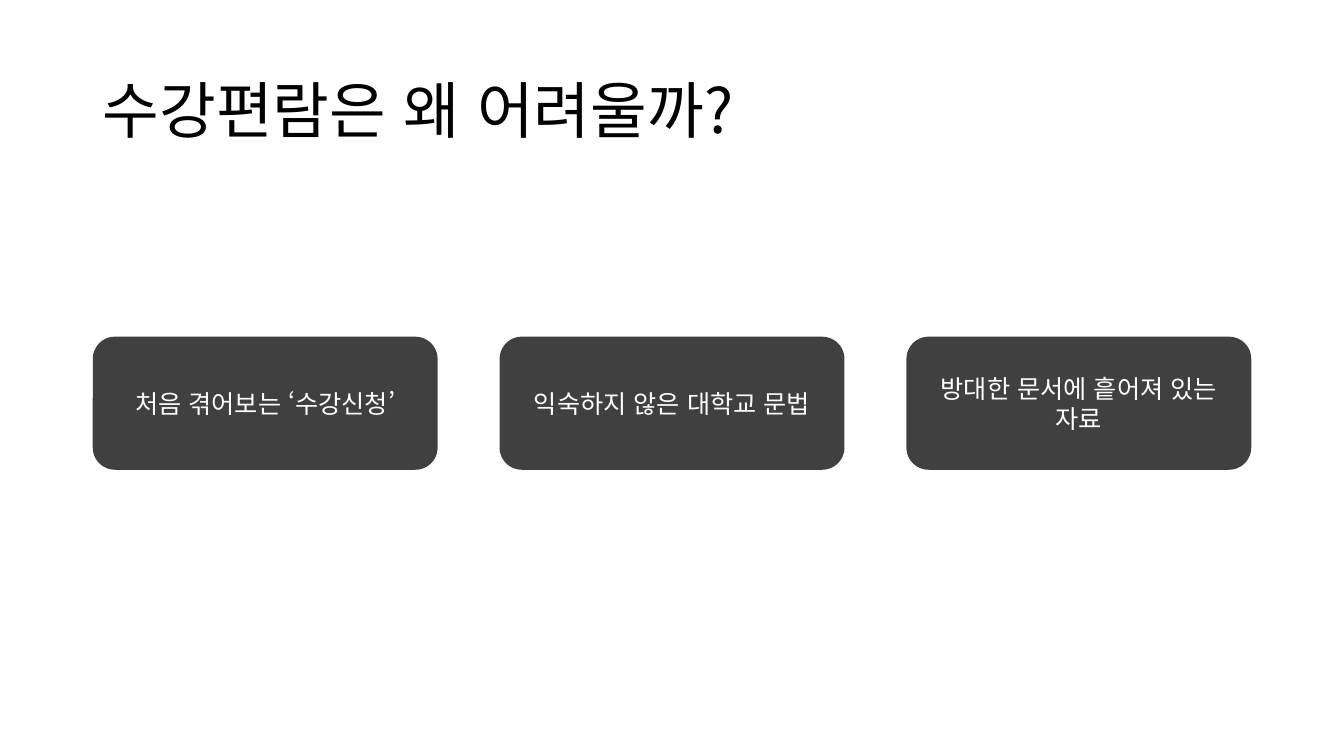
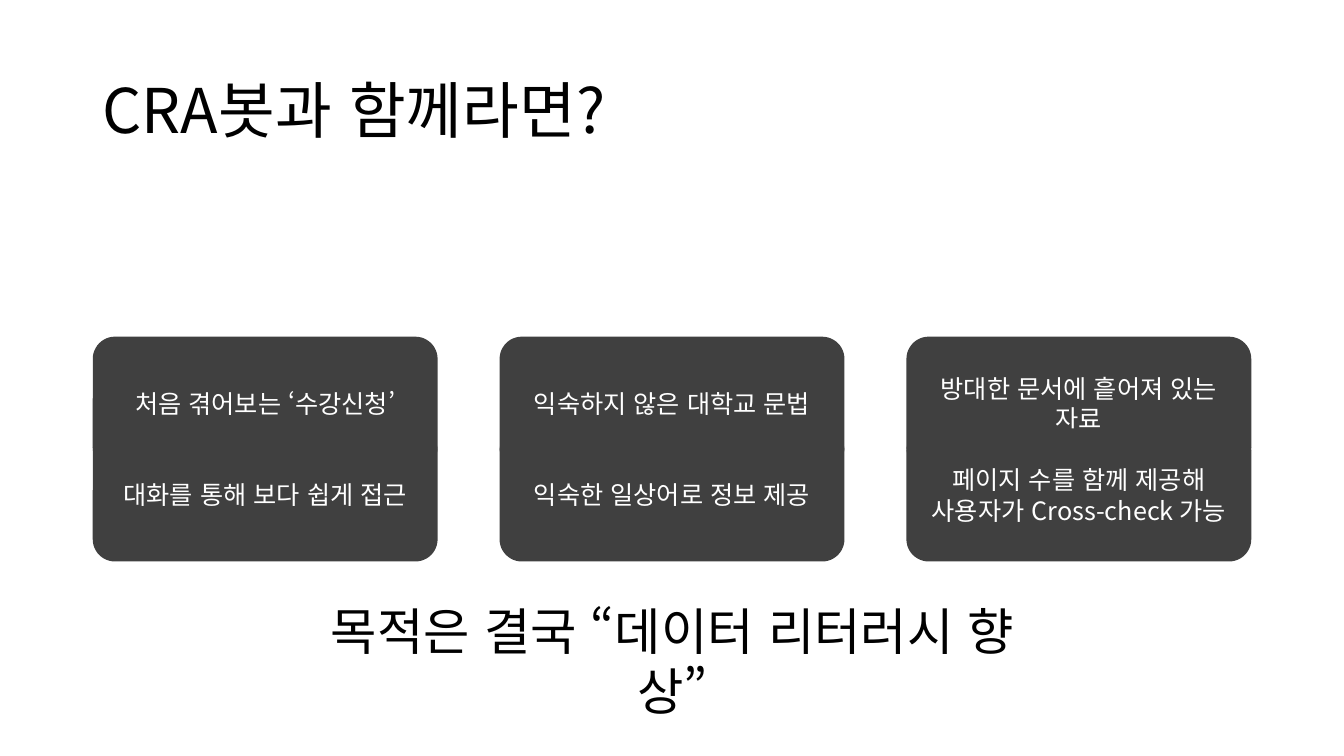
"""Build two slides on why course handbooks are hard and how a bot helps."""
import lxml.etree
import pptx
import pptx.dml.color
import pptx.enum.lang
import pptx.enum.shapes
import pptx.enum.text
import pptx.oxml.ns
import pptx.util

Inches = pptx.util.Inches
Pt = pptx.util.Pt
PP_ALIGN = pptx.enum.text.PP_ALIGN
MSO_ANCHOR = pptx.enum.text.MSO_ANCHOR

BLACK = pptx.dml.color.RGBColor(0x00, 0x00, 0x00)
WHITE = pptx.dml.color.RGBColor(0xFF, 0xFF, 0xFF)
DARK = pptx.dml.color.RGBColor(0x40, 0x40, 0x40)
FONT = "Noto Sans CJK KR"

MARGIN = 0.92
CARD_W, CARD_H = 3.42, 1.32
CARD_STEP = 4.035
PROBLEM_TOP, ANSWER_TOP = 3.34, 4.25

PROBLEMS = ["처음 겪어보는 ‘수강신청’", "익숙하지 않은 대학교 문법", "방대한 문서에 흩어져 있는 자료"]
ANSWERS = [
    "대화를 통해 보다 쉽게 접근",
    "익숙한 일상어로 정보 제공",
    "페이지 수를 함께 제공해 사용자가 Cross-check 가능",
]


def write(tf, text, size, color, align=PP_ALIGN.LEFT):
    tf.word_wrap = True
    p = tf.paragraphs[0]
    p.alignment = align
    r = p.add_run()
    r.text = text
    r.font.size = Pt(size)
    r.font.color.rgb = color
    r.font.name = FONT
    r.font.language_id = pptx.enum.lang.MSO_LANGUAGE_ID.KOREAN
    ea = lxml.etree.SubElement(r._r.get_or_add_rPr(), pptx.oxml.ns.qn("a:ea"))
    ea.set("typeface", FONT)
    return p


def add_title_slide(prs, title):
    s = prs.slides.add_slide(prs.slide_layouts[6])
    sp = s.shapes.add_textbox(Inches(MARGIN), Inches(0.4), Inches(11.5), Inches(1.45))
    sp.text_frame.vertical_anchor = MSO_ANCHOR.MIDDLE
    write(sp.text_frame, title, 44, BLACK).line_spacing = 0.9
    return s


def add_card_row(shapes, texts, top):
    for i, text in enumerate(texts):
        sp = shapes.add_shape(
            pptx.enum.shapes.MSO_SHAPE.ROUNDED_RECTANGLE,
            Inches(MARGIN + i * CARD_STEP), Inches(top), Inches(CARD_W), Inches(CARD_H),
        )
        sp.shadow.inherit = False
        sp.fill.solid()
        sp.fill.fore_color.rgb = DARK
        sp.line.fill.background()
        sp.text_frame.vertical_anchor = MSO_ANCHOR.MIDDLE
        write(sp.text_frame, text, 18, WHITE, PP_ALIGN.CENTER)


def add_conclusion(s, text):
    sp = s.shapes.add_textbox(Inches(2.89), Inches(5.9), Inches(7.56), Inches(0.71))
    write(sp.text_frame, text, 36, BLACK, PP_ALIGN.CENTER)
    sp.text_frame.auto_size = pptx.enum.text.MSO_AUTO_SIZE.SHAPE_TO_FIT_TEXT


def main():
    prs = pptx.Presentation()
    prs.slide_width, prs.slide_height = Inches(13.33), Inches(7.5)

    s = add_title_slide(prs, "수강편람은 왜 어려울까?")
    add_card_row(s.shapes, PROBLEMS, PROBLEM_TOP)

    s = add_title_slide(prs, "CRA봇과 함께라면?")
    for texts, top in ((PROBLEMS, PROBLEM_TOP), (ANSWERS, ANSWER_TOP)):
        add_card_row(s.shapes.add_group_shape().shapes, texts, top)
    add_conclusion(s, "목적은 결국 “데이터 리터러시 향상”")

    prs.save("out.pptx")


if __name__ == "__main__":
    main()
